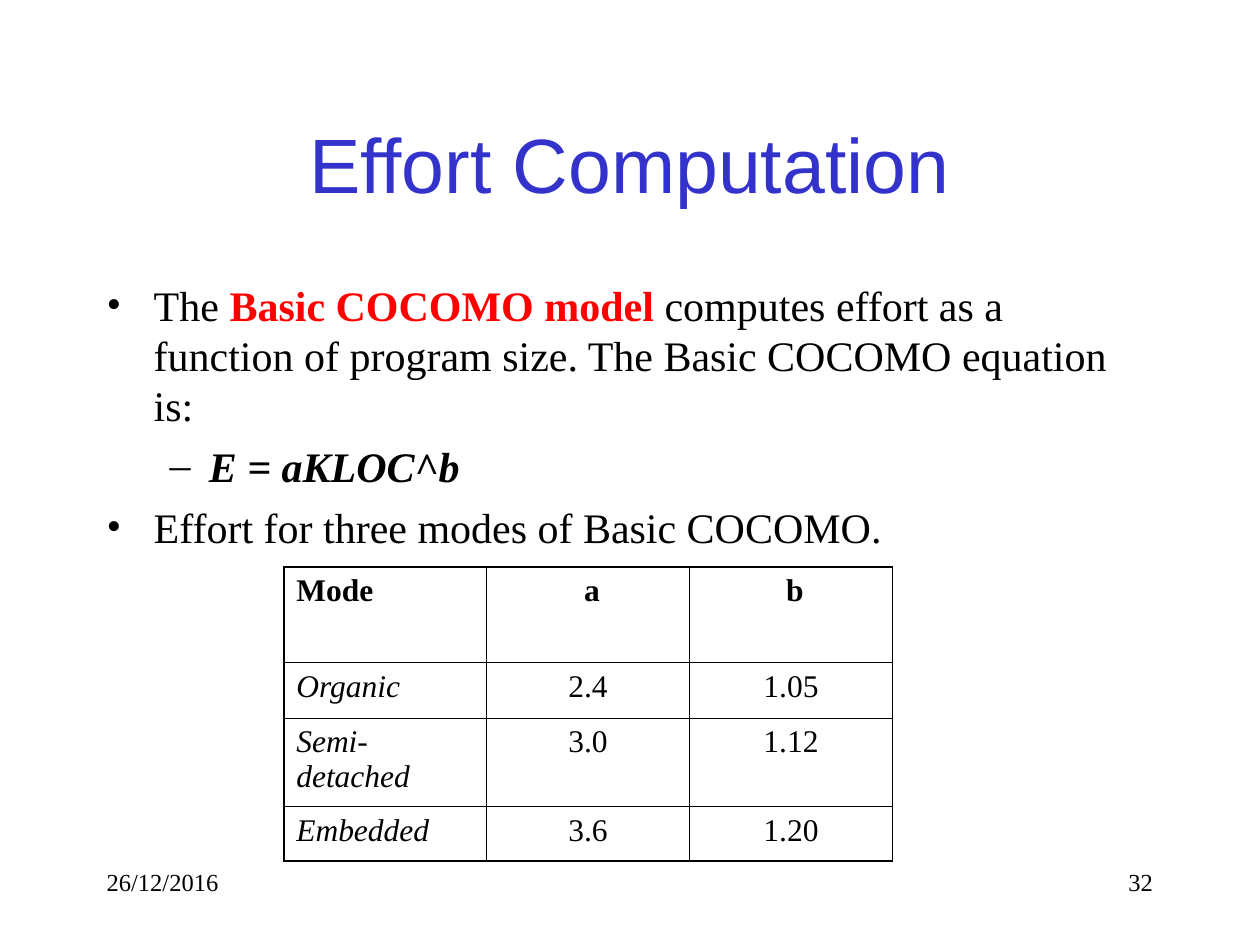
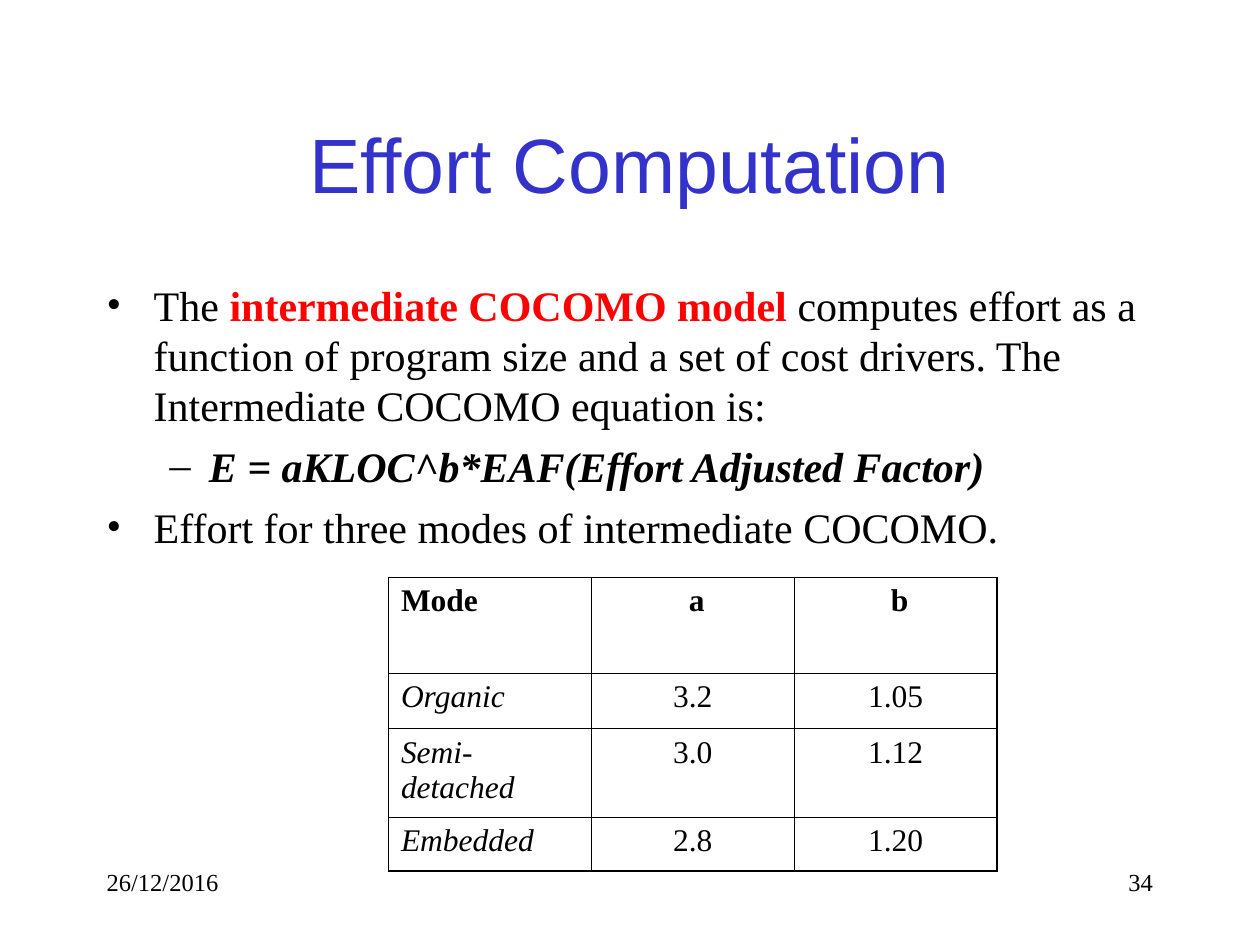
from dataclasses import dataclass

from lxml import etree
from pptx import Presentation
from pptx import util as u
from pptx.dml import color
from pptx.enum import text
from pptx.oxml import ns


@dataclass(frozen=True)
class Theme:
    ink: str = "000000"
    heading: str = "3333CC"
    accent: str = "FF0000"
    heading_font: str = "Arial"
    body_font: str = "Times New Roman"
    title_size: float = 44
    body_size: float = 24
    table_size: float = 18
    footer_size: float = 14
    body_gap: float = 6
    cell_gap: float = 4.5
    frame_line: float = 1.08
    grid_line: float = 0.45


@dataclass(frozen=True)
class Box:
    left: float
    top: float
    width: float
    height: float

    def lengths(self):
        return [u.Cm(v) for v in (self.left, self.top, self.width, self.height)]


THEME = Theme()
ALIGN = text.PP_ALIGN
TITLE_BOX = Box(1.9, 1.69, 21.59, 3.18)
BODY_BOX = Box(1.9, 5.5, 21.59, 11.43)
FOOTER_BOX = Box(1.9, 17.36, 21.59, 1.27)
FOOTER_FIELD = 5.29
TABLE_WIDTH = 12.27
ROW_HEIGHTS = [1.93, 1.12, 1.78, 1.09]
BULLETS = [("•", 0.95, 0.95), ("–", 2.06, 0.79)]

PAGES = [
    {
        "number": "32",
        "model": "Basic COCOMO model",
        "purpose": " computes effort as a function of program size. "
                   "The Basic COCOMO equation is:",
        "equation": "E = aKLOC^b",
        "modes": "Effort for three modes of Basic COCOMO. ",
        "table_at": (5.72, 11.43),
        "a": ["2.4", "3.0", "3.6"],
    },
    {
        "number": "34",
        "model": "intermediate COCOMO model",
        "purpose": " computes effort as a function of program size and a set "
                   "of cost drivers. The Intermediate COCOMO equation is:",
        "equation": "E = aKLOC^b*EAF(Effort Adjusted Factor)",
        "modes": "Effort for three modes of intermediate COCOMO. ",
        "table_at": (7.83, 11.64),
        "a": ["3.2", "3.0", "2.8"],
    },
]
MODES = ["Organic", "Semi-detached", "Embedded"]
B_VALUES = ["1.05", "1.12", "1.20"]


def add_span(para, words, size, ink=THEME.ink, font=THEME.body_font,
             bold=False, italic=False):
    span = para.add_run()
    span.text = words
    span.font.size = u.Pt(size)
    span.font.name = font
    span.font.bold = bold
    span.font.italic = italic
    span.font.color.rgb = color.RGBColor.from_string(ink)


def add_element(parent, tag, **attributes):
    return etree.SubElement(parent, ns.qn(tag), attributes)


def add_text_box(page, box):
    frame = page.shapes.add_textbox(*box.lengths()).text_frame
    frame.word_wrap = True
    return frame


def set_bullet(para, level):
    mark, margin, hang = BULLETS[level]
    para.level = level
    para.space_before = u.Pt(THEME.body_gap)
    props = para._p.get_or_add_pPr()
    props.set("marL", str(u.Cm(margin)))
    props.set("indent", str(-u.Cm(hang)))
    ink = add_element(props, "a:buClr")
    add_element(ink, "a:srgbClr", val=THEME.ink)
    add_element(props, "a:buFont", typeface=THEME.body_font)
    add_element(props, "a:buChar", char=mark)


def place_title(page, box, words):
    title = page.shapes.title
    title.left, title.top, title.width, title.height = box.lengths()
    frame = title.text_frame
    frame.word_wrap = True
    frame.auto_size = text.MSO_AUTO_SIZE.NONE
    frame.vertical_anchor = text.MSO_ANCHOR.MIDDLE
    para = frame.paragraphs[0]
    para.alignment = ALIGN.CENTER
    add_span(para, words, THEME.title_size, THEME.heading, THEME.heading_font)


def place_body(page, box, content):
    frame = add_text_box(page, box)
    size = THEME.body_size
    summary = frame.paragraphs[0]
    set_bullet(summary, 0)
    add_span(summary, "The ", size)
    add_span(summary, content["model"], size, THEME.accent, bold=True)
    add_span(summary, content["purpose"], size)
    equation = frame.add_paragraph()
    set_bullet(equation, 1)
    add_span(equation, content["equation"], size, bold=True, italic=True)
    modes = frame.add_paragraph()
    set_bullet(modes, 0)
    add_span(modes, content["modes"], size)


def set_borders(cell, outer_sides):
    props = cell._tc.get_or_add_tcPr()
    for side in "LRTB":
        weight = THEME.frame_line if side in outer_sides else THEME.grid_line
        line = add_element(props, f"a:ln{side}", w=str(u.Pt(weight)))
        fill = add_element(line, "a:solidFill")
        add_element(fill, "a:srgbClr", val=THEME.ink)


def place_mode_table(page, box, rows):
    row_count, column_count = len(rows), len(rows[0])
    table = page.shapes.add_table(row_count, column_count, *box.lengths()).table
    table.first_row = table.horz_banding = False
    for column in table.columns:
        column.width = u.Cm(box.width / column_count)
    for row, height in zip(table.rows, ROW_HEIGHTS):
        row.height = u.Cm(height)
    for r, values in enumerate(rows):
        for c, words in enumerate(values):
            cell = table.cell(r, c)
            edges = {"L": c == 0, "R": c == column_count - 1,
                     "T": r == 0, "B": r == row_count - 1}
            set_borders(cell, [side for side, outer in edges.items() if outer])
            cell.fill.background()
            para = cell.text_frame.paragraphs[0]
            para.alignment = ALIGN.CENTER if c else ALIGN.LEFT
            para.space_before = u.Pt(THEME.cell_gap)
            add_span(para, words, THEME.table_size,
                     bold=r == 0, italic=r > 0 and c == 0)


def place_footer(page, box, number):
    right = box.left + box.width - FOOTER_FIELD
    fields = [(box.left, "26/12/2016", ALIGN.LEFT), (right, number, ALIGN.RIGHT)]
    for left, words, alignment in fields:
        frame = add_text_box(page, Box(left, box.top, FOOTER_FIELD, box.height))
        para = frame.paragraphs[0]
        para.alignment = alignment
        add_span(para, words, THEME.footer_size)


def add_effort_page(deck, content):
    page = deck.slides.add_slide(deck.slide_layouts.get_by_name("Title Only"))
    place_footer(page, FOOTER_BOX, content["number"])
    place_title(page, TITLE_BOX, "Effort Computation")
    place_body(page, BODY_BOX, content)
    rows = [("Mode", " a", " b"), *zip(MODES, content["a"], B_VALUES)]
    table_box = Box(*content["table_at"], TABLE_WIDTH, sum(ROW_HEIGHTS))
    place_mode_table(page, table_box, rows)


deck = Presentation()
deck.slide_width, deck.slide_height = u.Cm(25.4), u.Cm(19.05)
for content in PAGES:
    add_effort_page(deck, content)
deck.save("out.pptx")
